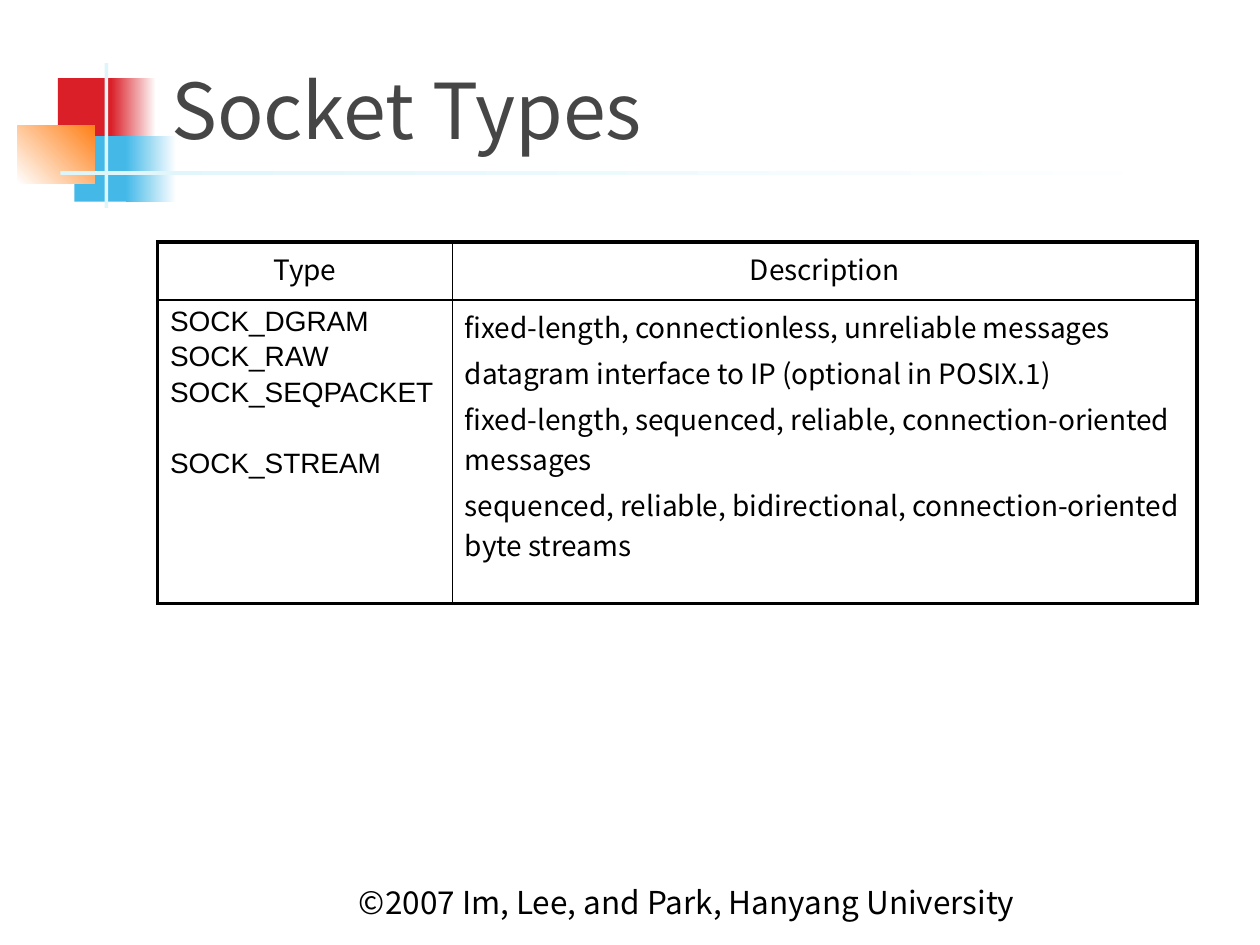
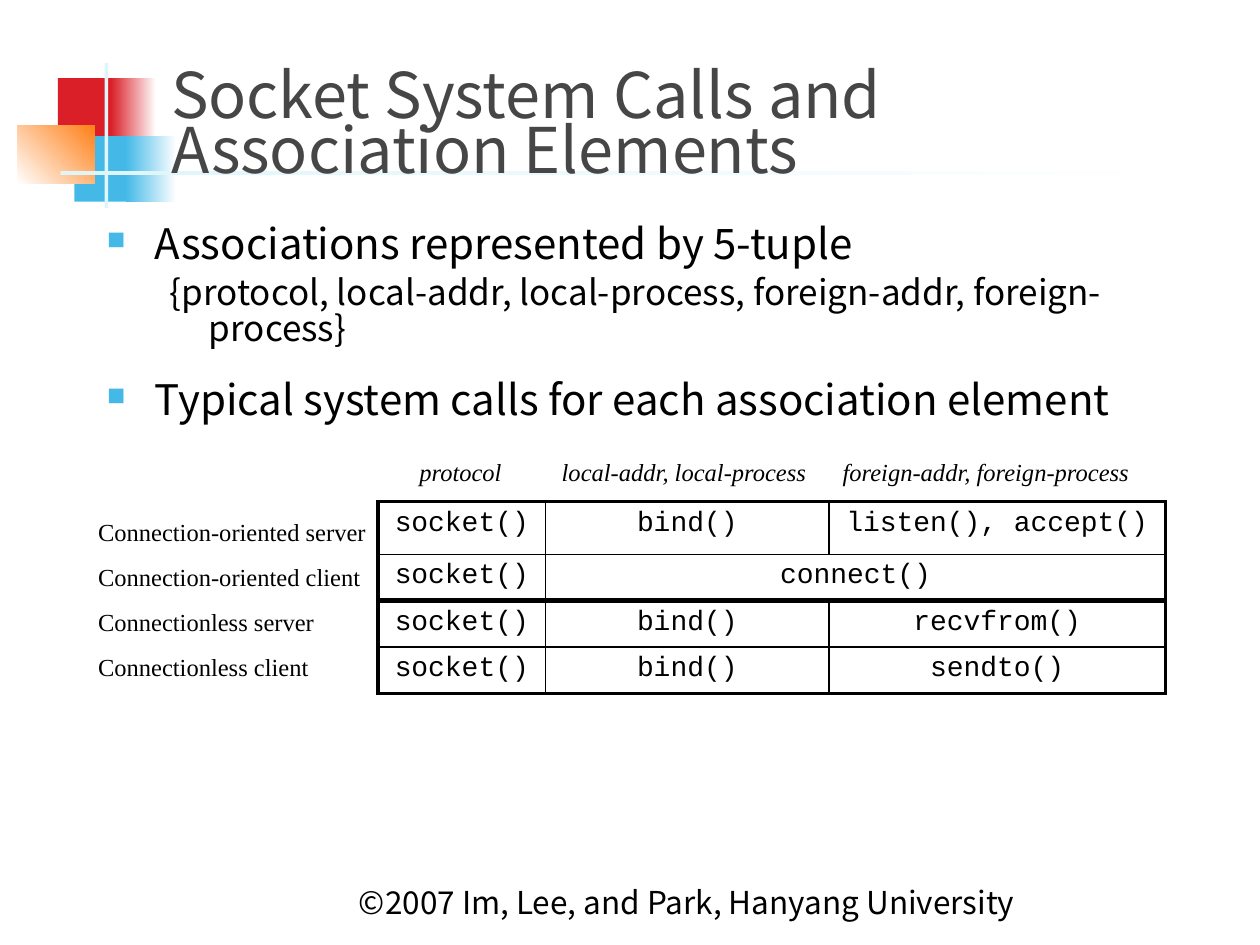
from lxml import etree
from pptx import Presentation
from pptx.dml.color import RGBColor
from pptx.enum.shapes import MSO_SHAPE
from pptx.enum.text import MSO_ANCHOR, PP_ALIGN
from pptx.oxml import parse_xml
from pptx.oxml.ns import nsdecls, qn
from pptx.util import Inches, Pt

RECTANGLE = MSO_SHAPE.RECTANGLE
TOP, BOTTOM = MSO_ANCHOR.TOP, MSO_ANCHOR.BOTTOM
LEFT, CENTER = PP_ALIGN.LEFT, PP_ALIGN.CENTER

COLORS = {
    "red": "DA1F28",
    "blue": "44B9E8",
    "orange": "FF8119",
    "pale": "DEF5FA",
    "white": "FFFFFF",
    "title": "464646",
    "text": "000000",
}
SANS, ARIAL, MONO, SERIF = "Noto Sans CJK KR", "Arial", "Courier New", "Times New Roman"
OUTER, INNER, DIVIDER = 2.25, 1, 3

DECORATIONS = [
    ((0.46, 0.62, 0.48, 0.52), ["red"], 0),
    ((0.88, 0.62, 0.36, 0.52), ["red", "white"], 0),
    ((0.59, 1.08, 0.46, 0.52), ["blue"], 0),
    ((1, 1.08, 0.4, 0.52), ["blue", "white"], 0),
    ((0.14, 1, 0.61, 0.46), ["white", "orange"], 45),
    ((0.83, 0.5, 0.03, 1.15), ["pale"], 0),
    ((0.48, 1.36, 9, 0.03), ["pale", "white"], 0),
]


def write_lines(text_frame, lines, font, size, color="text", align=LEFT, gap=0):
    text_frame.text = "\n".join(lines)
    text_frame.word_wrap = True
    for index, paragraph in enumerate(text_frame.paragraphs):
        paragraph.alignment = align
        if index:
            paragraph.space_before = Pt(gap)
        for run in paragraph.runs:
            run.font.name = font
            run.font.size = Pt(size)
            run.font.color.rgb = RGBColor.from_string(COLORS[color])


def add_grid(slide, left, top, widths, heights, divider_row=None):
    table = slide.shapes.add_table(
        len(heights), len(widths), Inches(left), Inches(top),
        Inches(sum(widths)), Inches(sum(heights))).table
    table.first_row = table.horz_banding = False
    for column, width in zip(table.columns, widths):
        column.width = Inches(width)
    for row, height in zip(table.rows, heights):
        row.height = Inches(height)
    if divider_row:
        table.cell(divider_row - 1, 1).merge(table.cell(divider_row - 1, 2))
    row_lines = [OUTER] + [INNER] * (len(heights) - 1) + [OUTER]
    column_lines = [OUTER] + [INNER] * (len(widths) - 1) + [OUTER]
    if divider_row:
        row_lines[divider_row] = DIVIDER
    for row in range(len(heights)):
        for column in range(len(widths)):
            cell = table.cell(row, column)
            if cell.is_spanned:
                continue
            cell.fill.background()
            borders = [
                ("lnL", column_lines[column]),
                ("lnR", column_lines[column + cell.span_width]),
                ("lnT", row_lines[row]),
                ("lnB", row_lines[row + 1]),
            ]
            for position, (tag, points) in enumerate(borders):
                cell._tc.get_or_add_tcPr().insert(position, parse_xml(
                    f'<a:{tag} {nsdecls("a")} w="{Pt(points)}"><a:solidFill>'
                    f'<a:srgbClr val="{COLORS["text"]}"/></a:solidFill></a:{tag}>'))
    return table


presentation = Presentation()
presentation.slide_width = Inches(10)
presentation.slide_height = Inches(7.5)

TITLES = [
    ("Socket Types", 44, (1.26, 0.23, 8.52, 1.02), 1.0),
    ("Socket System Calls and Association Elements", 36, (1.26, 0.83, 8.52, 0.65), 0.72),
]
slides = []
for title, title_size, title_box, title_spacing in TITLES:
    slide = presentation.slides.add_slide(presentation.slide_layouts[6])
    slides.append(slide)
    for box, fill_colors, angle in DECORATIONS:
        shape = slide.shapes.add_shape(RECTANGLE, *map(Inches, box))
        shape.shadow.inherit = False
        shape.line.fill.background()
        if len(fill_colors) == 1:
            shape.fill.solid()
            shape.fill.fore_color.rgb = RGBColor.from_string(COLORS[fill_colors[0]])
        else:
            shape.fill.gradient()
            shape.fill.gradient_angle = angle
            for stop, name in zip(shape.fill.gradient_stops, fill_colors):
                stop.color.rgb = RGBColor.from_string(COLORS[name])
    captions = [
        ("©2007 Im, Lee, and Park, Hanyang University", 18, "text", (2.75, 6.83, 5.92, 0.5), 1.0),
        (title, title_size, "title", title_box, title_spacing),
    ]
    for caption, size, color, box, spacing in captions:
        text_frame = slide.shapes.add_textbox(*map(Inches, box)).text_frame
        text_frame.vertical_anchor = BOTTOM
        text_frame.margin_bottom = Inches(0.02)
        write_lines(text_frame, [caption], SANS, size, color)
        text_frame.paragraphs[0].line_spacing = spacing

types_slide, calls_slide = slides

types_table = add_grid(types_slide, 1.25, 1.92, [2.34, 5.91], [0.46, 2.41])
for column, heading in enumerate(["Type", "Description"]):
    write_lines(types_table.cell(0, column).text_frame, [heading], SANS, 16, align=CENTER)
type_names = types_table.cell(1, 0).text_frame
write_lines(type_names, ["SOCK_DGRAM", "SOCK_RAW", "SOCK_SEQPACKET", "SOCK_STREAM"],
            ARIAL, 16, gap=2.4)
type_names.paragraphs[3].space_before = Pt(23.3)
write_lines(types_table.cell(1, 1).text_frame, [
    "fixed-length, connectionless, unreliable messages",
    "datagram interface to IP (optional in POSIX.1)",
    "fixed-length, sequenced, reliable, connection-oriented messages",
    "sequenced, reliable, bidirectional, connection-oriented byte streams",
], SANS, 16, gap=3.2)

body = calls_slide.shapes.add_textbox(
    Inches(0.75), Inches(1.74), Inches(9), Inches(4.21)).text_frame
write_lines(body, [
    "Associations represented by 5-tuple",
    "{protocol, local-addr, local-process, foreign-addr, foreign-process}",
    "Typical system calls for each association element",
], SANS, 24, gap=5)
for index, paragraph in enumerate(body.paragraphs):
    paragraph.line_spacing = 0.85
    properties = paragraph._p.get_or_add_pPr()
    is_detail = index == 1
    margin, indent = (0.81, -0.31) if is_detail else (0.38, -0.38)
    properties.set("marL", str(Inches(margin)))
    properties.set("indent", str(Inches(indent)))
    if is_detail:
        paragraph.runs[0].font.size = Pt(20)
        continue
    if index:
        paragraph.space_before = Pt(19)
    bullet_color = etree.SubElement(properties, qn("a:buClr"))
    etree.SubElement(bullet_color, qn("a:srgbClr"), val=COLORS["blue"])
    etree.SubElement(properties, qn("a:buSzPct"), val="60000")
    etree.SubElement(properties, qn("a:buChar"), char="■")

CALLS = [
    ["socket()", "bind()", "listen(), accept()"],
    ["socket()", "connect()"],
    ["socket()", "bind()", "recvfrom()"],
    ["socket()", "bind()", "sendto()"],
]
calls_table = add_grid(calls_slide, 3, 3.98, [1.33, 2.25, 2.67],
                       [0.42, 0.35, 0.35, 0.37], divider_row=2)
for row, calls in enumerate(CALLS):
    for column, call in enumerate(calls):
        write_lines(calls_table.cell(row, column).text_frame, [call], MONO, 16, align=CENTER)

headings = calls_slide.shapes.add_textbox(
    Inches(3.08), Inches(3.58), Inches(6.5), Inches(0.33)).text_frame
write_lines(headings, ["\tprotocol\tlocal-addr, local-process\tforeign-addr, foreign-process"],
            SERIF, 14)
heading_line = headings.paragraphs[0]
tab_stops = etree.SubElement(heading_line._p.get_or_add_pPr(), qn("a:tabLst"))
for stop in [0.15, 1.28, 3.51]:
    etree.SubElement(tab_stops, qn("a:tab"), pos=str(Inches(stop)), algn="l")
for run in heading_line.runs:
    run.font.italic = True

row_labels = calls_slide.shapes.add_textbox(
    Inches(0.68), Inches(4.05), Inches(2.4), Inches(1.45)).text_frame
write_lines(row_labels, [
    "Connection-oriented server",
    "Connection-oriented client",
    "Connectionless server",
    "Connectionless client",
], SERIF, 14, gap=9)

presentation.save("out.pptx")
